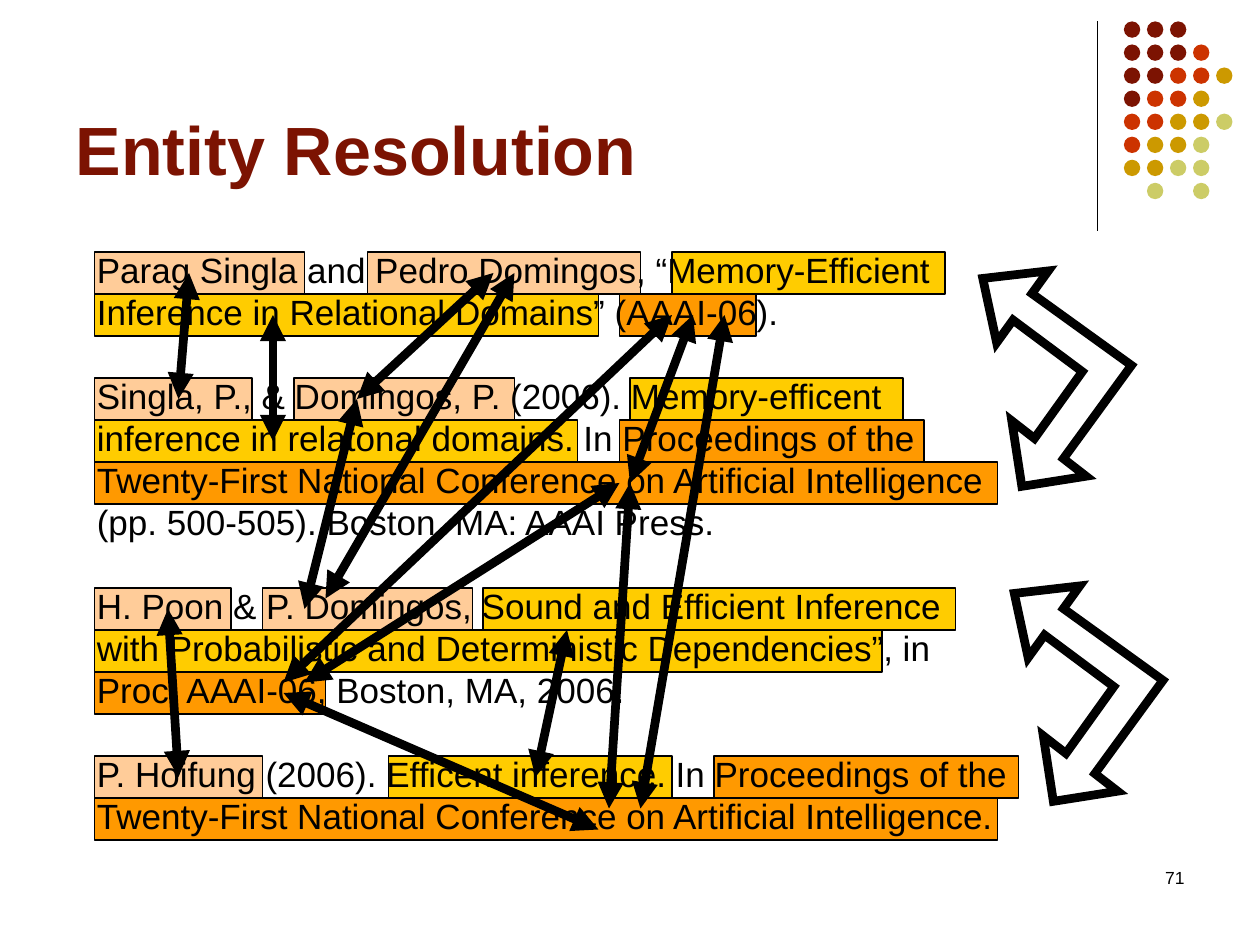
from pptx import Presentation
from pptx.dml.color import RGBColor
from pptx.enum.shapes import MSO_CONNECTOR as Connector, MSO_SHAPE as Shape
from pptx.enum.text import MSO_ANCHOR as Anchor, PP_ALIGN as Align
from pptx.oxml.ns import qn
from pptx.oxml.xmlchemy import OxmlElement
from pptx.util import Inches, Pt

COLORS = {
    "text": "000000", "title": "7C1302",
    "author": "FFCC99", "paper": "FFCC00", "venue": "FF9900",
    "D": "7C1302", "R": "CC3300", "G": "CC9900", "L": "CCCC66",
}
FONT = "Arial"

CITATIONS = [
    ["Parag Singla and Pedro Domingos, “Memory-Efficient",
     "Inference in Relational Domains” (AAAI-06)."],
    ["Singla, P., & Domingos, P. (2006). Memory-efficent",
     "inference in relatonal domains. In Proceedings of the",
     "Twenty-First National Conference on Artificial Intelligence",
     "(pp. 500-505). Boston, MA: AAAI Press."],
    ["H. Poon & P. Domingos, Sound and Efficient Inference",
     "with Probabilistic and Deterministic Dependencies”, in",
     "Proc. AAAI-06, Boston, MA, 2006."],
    ["P. Hoifung (2006). Efficent inference. In Proceedings of the",
     "Twenty-First National Conference on Artificial Intelligence."],
]

# The citation grid: one row per text line, twelve columns to the inch
GRID_LEFT, GRID_TOP = 0.75, 2
COLUMN, ROW = 1 / 12, 1 / 3

# text row: (field, first column, columns wide)
HIGHLIGHTS = {
    0: [("author", 0, 20), ("author", 26, 26), ("paper", 55, 26)],
    1: [("paper", 0, 48), ("venue", 50, 13)],
    3: [("author", 0, 15), ("author", 19, 21), ("paper", 51, 26)],
    4: [("paper", 0, 46), ("venue", 50, 29)],
    5: [("venue", 0, 86)],
    8: [("author", 0, 13), ("author", 16, 20), ("paper", 37, 45)],
    9: [("paper", 0, 75)],
    10: [("venue", 0, 22)],
    12: [("author", 0, 16), ("paper", 28, 27), ("venue", 59, 29)],
    13: [("venue", 0, 86)],
}

# (column, row) of both ends of each match
FIELD_MATCHES = [
    ((9, 0.5), (8, 3.5)), ((38, 0.5), (25, 3.5)), ((25, 3.5), (20, 8.5)),
    ((40, 0.5), (22, 8.25)), ((7, 8.5), (8, 12.5)), ((45, 9), (42, 12.5)),
    ((17, 1.5), (17, 4.5)), ((57, 1.5), (51, 5.5)), ((50, 5.5), (20, 10.25)),
    ((60, 1.5), (52, 13.25)), ((51, 5.5), (49, 13.25)),
    ((18, 10.5), (48, 13.75)), ((18, 10.25), (55, 1.5)),
]

# Bent double arrow joining two citations, and where each one is moved to
BENT_ARROW = [
    (7.8, 2.21), (7.91, 2.72), (8.04, 2.54), (8.59, 2.95), (8.21, 3.48),
    (8.03, 3.34), (8.11, 3.86), (8.62, 3.78), (8.44, 3.64), (8.98, 2.9),
    (8.19, 2.33), (8.32, 2.15),
]
CITATION_MATCHES = [(0.25, 2.5), (0, 0)]

DOT_ROWS = ["DDD", "DDDR", "DDRRG", "DRRG", "RRGGL", "RGGL", "GGLL", " L L"]
DOT_LEFT, DOT_TOP, DOT_PITCH, DOT_SIZE = 8.92, 0.17, 0.183, 0.13


def rgb(name):
    return RGBColor.from_string(COLORS[name])


def grid_point(column, row):
    return Inches(GRID_LEFT + column * COLUMN), Inches(GRID_TOP + row * ROW)


def style_text(paragraph, size, color="text", bold=False):
    font = paragraph.font
    font.name, font.size, font.bold = FONT, Pt(size), bold
    font.color.rgb = rgb(color)


def style_line(shape, width):
    shape.line.color.rgb = rgb("text")
    shape.line.width = Pt(width)


def add_filled(slide, kind, left, top, width, height, color):
    shape = slide.shapes.add_shape(kind, left, top, width, height)
    shape.shadow.inherit = False
    shape.fill.solid()
    shape.fill.fore_color.rgb = rgb(color)
    shape.line.fill.background()
    return shape


def add_line(slide, start, end, width, ends=()):
    """Draw a straight line; ends names the tags that get an arrowhead."""
    line = slide.shapes.add_connector(Connector.STRAIGHT, *start, *end)
    style_line(line, width)
    properties = line._element.spPr
    for tag in ends:
        head = OxmlElement(tag)
        head.set("type", "triangle")
        properties.find(qn("a:ln")).append(head)
    properties.append(OxmlElement("a:effectLst"))


def add_bent_arrow(slide, dx, dy):
    first, *rest = [(Inches(x + dx), Inches(y + dy)) for x, y in BENT_ARROW]
    builder = slide.shapes.build_freeform(*first)
    builder.add_line_segments(rest, close=True)
    arrow = builder.convert_to_shape()
    arrow.shadow.inherit = False
    arrow.fill.background()
    style_line(arrow, 5)
    miter = OxmlElement("a:miter")
    miter.set("lim", "800000")
    arrow._element.spPr.find(qn("a:ln")).append(miter)


def add_text_frame(slide, left, top, width, height):
    box = slide.shapes.add_textbox(*map(Inches, (left, top, width, height)))
    box.text_frame.word_wrap = True
    return box.text_frame


def add_decoration(slide):
    add_line(slide, (Inches(8.71), Inches(0.17)), (Inches(8.71), Inches(1.83)), 0.75)
    for row, dots in enumerate(DOT_ROWS):
        for column, color in enumerate(dots):
            if color != " ":
                add_filled(slide, Shape.OVAL, Inches(DOT_LEFT + column * DOT_PITCH),
                           Inches(DOT_TOP + row * DOT_PITCH),
                           Inches(DOT_SIZE), Inches(DOT_SIZE), color)


def add_title(slide):
    title = slide.shapes.title
    title.left, title.top, title.width, title.height = map(Inches, (0.5, 0.13, 8.25, 1.42))
    title.text_frame.vertical_anchor = Anchor.BOTTOM
    title.text_frame.text = "Entity Resolution"
    heading = title.text_frame.paragraphs[0]
    heading.alignment = Align.LEFT
    style_text(heading, 39, "title", bold=True)


def add_citations(slide):
    for row, fields in HIGHLIGHTS.items():
        for field, column, columns in fields:
            highlight = add_filled(slide, Shape.RECTANGLE, *grid_point(column, row),
                                   Inches(columns * COLUMN), Inches(ROW), field)
            style_line(highlight, 0.75)

    frame = add_text_frame(slide, 0.67, 1.92, 8.68, 4.77)
    line = frame.paragraphs[0]
    for number, citation in enumerate(CITATIONS):
        for position, words in enumerate(citation):
            if number or position:
                line = frame.add_paragraph()
            line.text = words
            line.line_spacing = Pt(24)
            if number and position == 0:
                line.space_before = Pt(24)
            style_text(line, 20)


def add_matches(slide):
    for start, end in FIELD_MATCHES:
        add_line(slide, grid_point(*start), grid_point(*end), 5,
                 ends=("a:headEnd", "a:tailEnd"))
    for offset in CITATION_MATCHES:
        add_bent_arrow(slide, *offset)


def main():
    deck = Presentation()
    deck.slide_width, deck.slide_height = Inches(10), Inches(7.5)
    slide = deck.slides.add_slide(deck.slide_layouts[5])
    add_decoration(slide)
    add_title(slide)
    add_citations(slide)
    add_matches(slide)
    page = add_text_frame(slide, 7.17, 6.83, 2.33, 0.5).paragraphs[0]
    page.text = "71"
    page.alignment = Align.RIGHT
    style_text(page, 10)
    deck.save("out.pptx")


if __name__ == "__main__":
    main()
